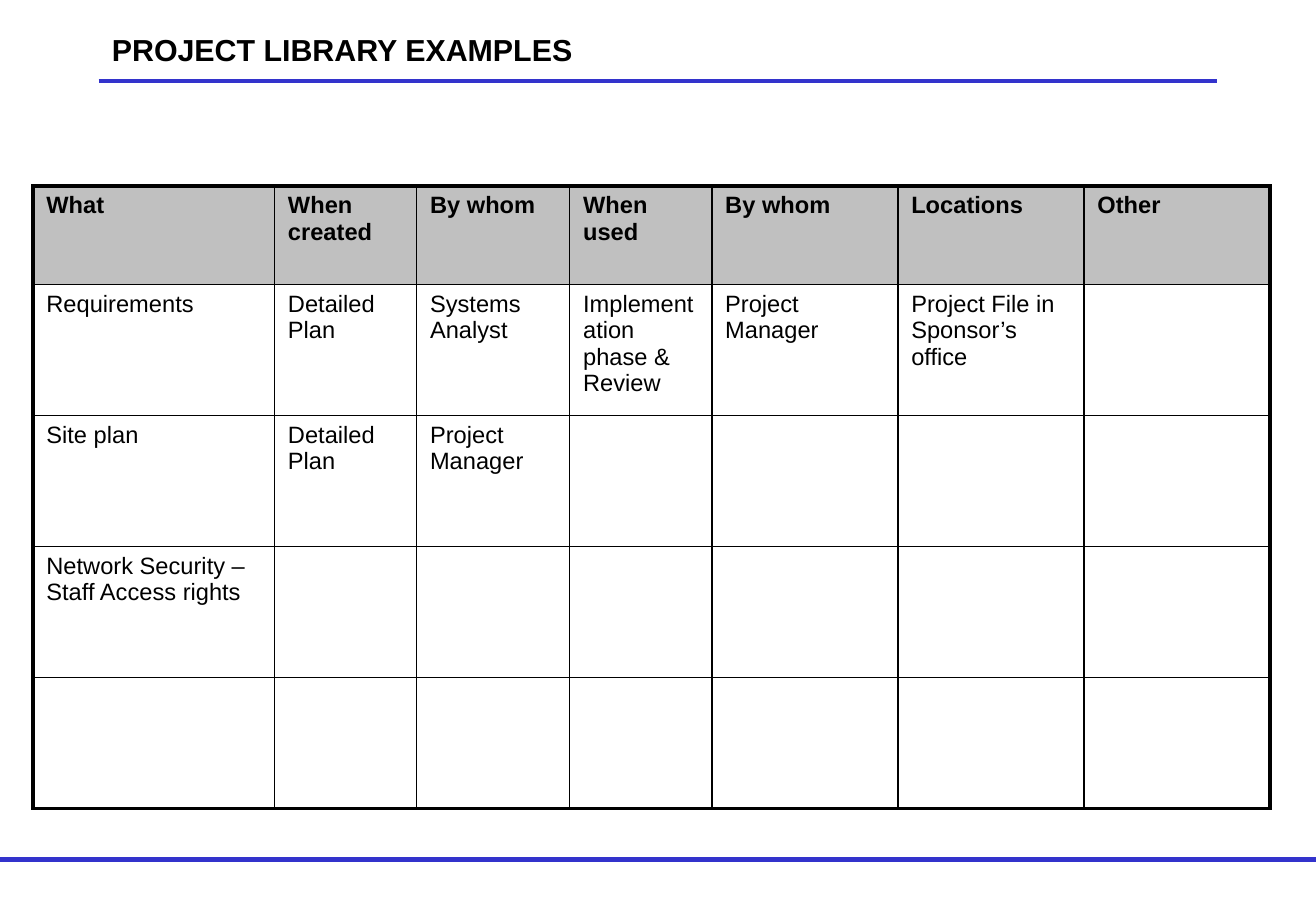
from dataclasses import dataclass

from lxml.etree import SubElement
from pptx import Presentation
from pptx.dml.color import RGBColor
from pptx.enum.shapes import MSO_CONNECTOR
from pptx.enum.text import PP_ALIGN
from pptx.oxml.ns import qn
from pptx.slide import Slide
from pptx.table import _Cell
from pptx.text.text import _Paragraph
from pptx.util import Cm, Pt


@dataclass(frozen=True)
class Theme:
    font: str = "Arial"
    text: RGBColor = RGBColor(0x00, 0x00, 0x00)
    rule: RGBColor = RGBColor(0x33, 0x33, 0xCC)
    header_fill: RGBColor = RGBColor(0xC0, 0xC0, 0xC0)
    border: str = "000000"
    title_size: float = 18
    table_size: float = 14
    outer_border: float = 2.25
    inner_border: float = 1


@dataclass(frozen=True)
class Rule:
    """A horizontal line, in centimetres, with its width in points."""
    left: float
    right: float
    y: float
    width: float


THEME = Theme()
SLIDE_WIDTH, SLIDE_HEIGHT = 27.51, 19.05
RULES = [
    Rule(2.06, 25.45, 1.7, 2.25),
    Rule(0, SLIDE_WIDTH, 17.98, 3),
]
COLUMN_WIDTHS = [5.05, 2.97, 3.2, 2.97, 3.89, 3.89, 3.89]
ROW_HEIGHTS = [2.06] + [2.74] * 4
LIBRARY = [
    ["What", "When created", "By whom", "When used", "By whom", "Locations", "Other"],
    ["Requirements", "Detailed Plan", "Systems Analyst", "Implementation phase & Review",
     "Project Manager", "Project File in Sponsor’s office", ""],
    ["Site plan", "Detailed Plan", "Project Manager", "", "", "", ""],
    ["Network Security – Staff Access rights", "", "", "", "", "", ""],
    [""] * 7,
]


def add_text(p: _Paragraph, text: str, size: float, bold: bool) -> None:
    r = p.add_run()
    r.text = text
    r.font.name = THEME.font
    r.font.size = Pt(size)
    r.font.bold = bold
    r.font.color.rgb = THEME.text


def add_rule(s: Slide, rule: Rule) -> None:
    line = s.shapes.add_connector(
        MSO_CONNECTOR.STRAIGHT, Cm(rule.left), Cm(rule.y), Cm(rule.right), Cm(rule.y))
    line.line.color.rgb = THEME.rule
    line.line.width = Pt(rule.width)
    SubElement(line._element.spPr, qn("a:effectLst"))


def add_title(s: Slide, text: str) -> None:
    sp = s.shapes.add_textbox(Cm(1.35), Cm(0.53), Cm(11.61), Cm(2.06))
    tf = sp.text_frame
    tf.word_wrap = True
    p = tf.paragraphs[0]
    p.alignment = PP_ALIGN.CENTER
    add_text(p, text, THEME.title_size, True)


def set_borders(cell: _Cell, outer_sides: dict[str, bool]) -> None:
    """Draw each side thick where it lies on the table's edge, else thin."""
    tc_pr = cell._tc.get_or_add_tcPr()
    for side, is_outer in outer_sides.items():
        width = THEME.outer_border if is_outer else THEME.inner_border
        ln = SubElement(tc_pr, qn(f"a:ln{side}"), w=str(Pt(width)))
        fill = SubElement(ln, qn("a:solidFill"))
        SubElement(fill, qn("a:srgbClr"), val=THEME.border)


def add_library_table(s: Slide) -> None:
    rows, cols = len(ROW_HEIGHTS), len(COLUMN_WIDTHS)
    table = s.shapes.add_table(
        rows, cols, Cm(0.69), Cm(3.89), Cm(sum(COLUMN_WIDTHS)), Cm(sum(ROW_HEIGHTS))).table
    table.first_row = False
    table.horz_banding = False
    for column, width in zip(table.columns, COLUMN_WIDTHS):
        column.width = Cm(width)
    for row, height in zip(table.rows, ROW_HEIGHTS):
        row.height = Cm(height)

    for i, texts in enumerate(LIBRARY):
        is_header = i == 0
        for j, text in enumerate(texts):
            cell = table.cell(i, j)
            cell.margin_left = cell.margin_right = Cm(0.28)
            cell.margin_top = cell.margin_bottom = Cm(0.13)
            set_borders(cell, {"L": j == 0, "R": j == cols - 1,
                               "T": is_header, "B": i == rows - 1})
            if is_header:
                cell.fill.solid()
                cell.fill.fore_color.rgb = THEME.header_fill
            else:
                cell.fill.background()
            if text:
                add_text(cell.text_frame.paragraphs[0], text, THEME.table_size, is_header)


def main() -> None:
    prs = Presentation()
    prs.slide_width, prs.slide_height = Cm(SLIDE_WIDTH), Cm(SLIDE_HEIGHT)
    s = prs.slides.add_slide(prs.slide_layouts[6])
    for rule in RULES:
        add_rule(s, rule)
    add_title(s, "PROJECT LIBRARY EXAMPLES")
    add_library_table(s)
    prs.save("out.pptx")


if __name__ == "__main__":
    main()
